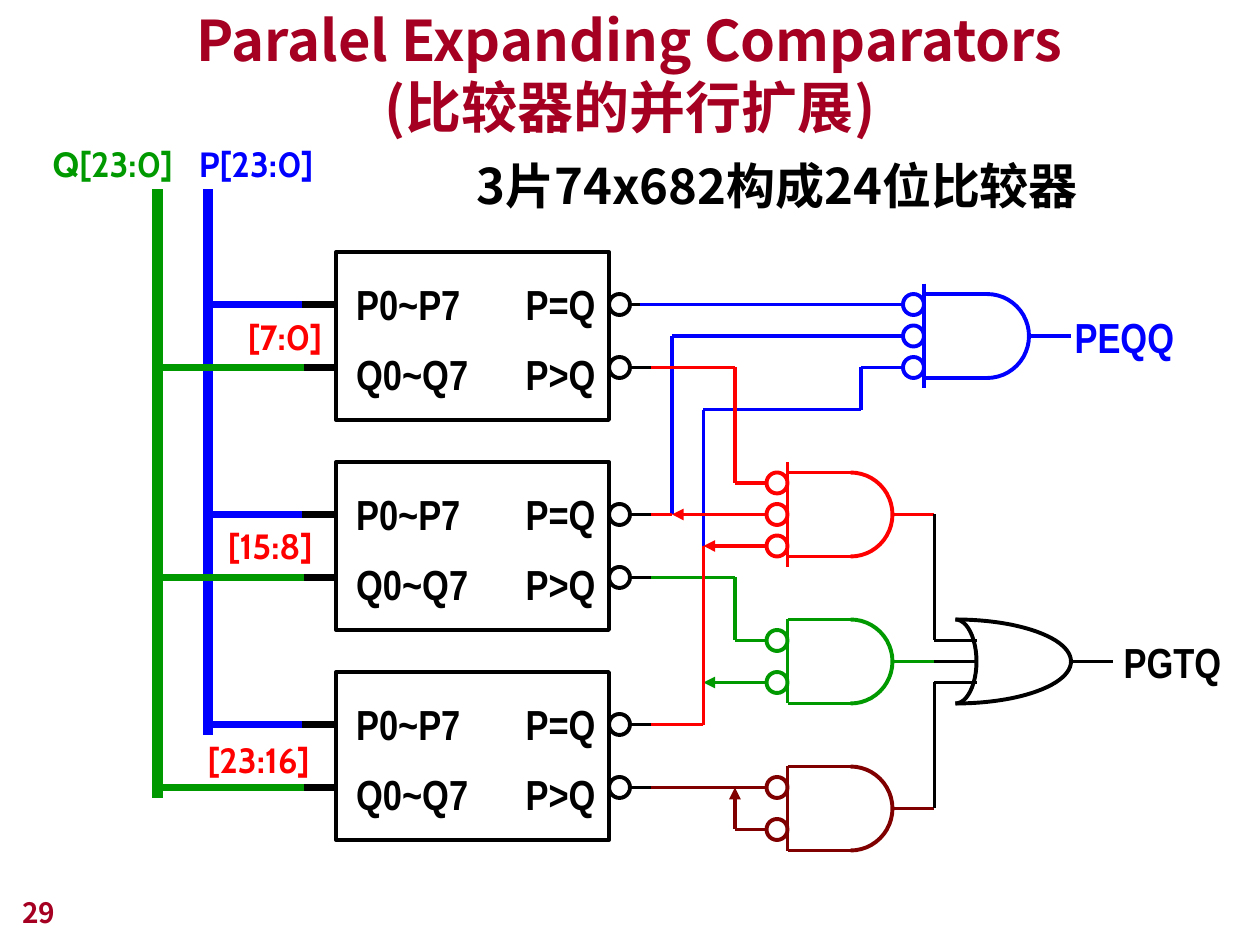
from itertools import pairwise
from lxml import etree
from pptx import Presentation
from pptx.dml.color import RGBColor
from pptx.enum.shapes import MSO_CONNECTOR, MSO_SHAPE
from pptx.enum.text import MSO_ANCHOR, MSO_AUTO_SIZE, PP_ALIGN
from pptx.oxml.ns import qn
from pptx.util import Inches, Pt

COLORS = {"black": "000000", "blue": "0000FF", "green": "009900",
          "red": "FF0000", "maroon": "800000", "title": "A50021"}
HEADING, NARROW, LABEL = "Noto Sans CJK JP", "Arial Narrow", "Cabin"

CHIP_LEFT, CHIP_WIDTH, CHIP_HEIGHT = 32, 26, 16
CHIP_TOPS = [24, 44, 64]
PIN_OFFSETS = [5, 11]
CHIP_ROWS = ["P0~P7\tP=Q", "Q0~Q7\tP>Q"]
BUSES = [("blue", 19.8, 70, 28.8, 5), ("green", 15, 76, 29, 11)]

GATES = [("blue", 88, 28, [1, 4, 7]), ("maroon", 75, 73, [2, 6]),
         ("green", 75, 59, [2, 6]), ("red", 75, 45, [1, 4, 7])]

WIRES = [
    ("blue", [(61, 29), (86, 29)], False),
    ("blue", [(62, 49), (64, 49), (64, 32), (86, 32)], False),
    ("blue", [(62, 69), (67, 69), (67, 39), (82, 39), (82, 35), (86, 35)], False),
    ("maroon", [(62, 75), (73, 75)], False),
    ("maroon", [(70, 75), (70, 79), (73, 79)], True),
    ("green", [(62, 55), (70, 55), (70, 61), (73, 61)], False),
    ("green", [(67, 65), (73, 65)], True),
    ("green", [(62, 69), (67, 69), (67, 65)], False),
    ("red", [(62, 35), (70, 35), (70, 46), (73, 46)], False),
    ("red", [(64, 49), (73, 49)], True),
    ("red", [(62, 49), (64, 49)], False),
    ("red", [(67, 52), (73, 52)], True),
    ("red", [(67, 52), (67, 69), (62, 69)], False),
    ("black", [(89, 49), (89, 61), (93, 61)], False),
    ("black", [(89, 63), (93, 63)], False),
    ("black", [(89, 77), (89, 65), (93, 65)], False),
    ("black", [(102, 63), (106, 63)], False),
]

LABELS = [
    ("[7:0]", 1.87, 2.42, 0.83, 0.47, 20, LABEL, "red", 1.1),
    ("[15:8]", 1.71, 4.08, 0.99, 0.47, 20, LABEL, "red", 1.1),
    ("[23:16]", 1.55, 5.78, 1.16, 0.47, 20, LABEL, "red", 1.1),
    ("P[23:0]", 1.48, 1.08, 1.11, 0.44, 20, LABEL, "blue", 1),
    ("Q[23:0]", 0.32, 1.08, 1.16, 0.44, 20, LABEL, "green", 1),
    ("PEQQ", 8.43, 2.42, 0.99, 0.5, 24, NARROW, "blue", 1),
    ("PGTQ", 8.82, 5, 0.99, 0.5, 24, NARROW, "black", 1),
]
HEADINGS = [
    ("3片74x682构成24位比较器", 2.92, 0.92, 6.5, 0.83, 28, "black", PP_ALIGN.CENTER),
    ("Paralel Expanding Comparators\v(比较器的并行扩展)",
     0.75, 0.33, 8.5, 0.83, 32, "title", PP_ALIGN.CENTER),
    ("29", 0.08, 6.92, 2.08, 0.5, 16, "title", PP_ALIGN.LEFT),
]

presentation = Presentation()
presentation.slide_width, presentation.slide_height = Inches(10), Inches(7.5)
slide = presentation.slides.add_slide(presentation.slide_layouts[6])
shapes = slide.shapes


def grid(value):
    return Inches(value / 12)


def color(name):
    return RGBColor.from_string(COLORS[name])


def style_line(shape, name, width=2.25):
    shape.line.color.rgb = color(name)
    shape.line.width = Pt(width)


def add_outline(kind, left, top, width, height, name):
    shape = shapes.add_shape(kind, *map(grid, (left, top, width, height)))
    style_line(shape, name)
    shape.fill.background()
    shape.shadow.inherit = False
    return shape


def style_text(text_frame, size, font_name, name):
    for paragraph in text_frame.paragraphs:
        for run in paragraph.runs:
            run.font.size, run.font.name, run.font.bold = Pt(size), font_name, True
            run.font.color.rgb = color(name)
            properties = run._r.get_or_add_rPr()
            etree.SubElement(properties, qn("a:ea"), typeface=font_name)


def add_wire(points, name, width=2.25, arrow=False):
    for index, (start, end) in enumerate(pairwise(points)):
        wire = shapes.add_connector(MSO_CONNECTOR.STRAIGHT, *map(grid, start + end))
        style_line(wire, name, width)
        if arrow and index == 0:
            etree.SubElement(wire.line._get_or_add_ln(), qn("a:headEnd"), type="triangle")
        etree.SubElement(wire._element.spPr, qn("a:effectLst"))


def add_bubble(left, middle, name):
    add_outline(MSO_SHAPE.OVAL, left, middle - 1, 2, 2, name)


def add_half_ellipse(center_x, center_y, radius_x, radius_y, name):
    arc = add_outline(MSO_SHAPE.ARC, center_x - radius_x, center_y - radius_y,
                      2 * radius_x, 2 * radius_y, name)
    arc.adjustments[0], arc.adjustments[1] = 162, 54


def add_chip(top):
    chip = add_outline(MSO_SHAPE.RECTANGLE, CHIP_LEFT, top, CHIP_WIDTH, CHIP_HEIGHT, "black")
    text_frame = chip.text_frame
    text_frame.word_wrap = True
    text_frame.vertical_anchor = MSO_ANCHOR.TOP
    text_frame.margin_left = Inches(0.16)
    text_frame.margin_right = Inches(0.08)
    text_frame.text = "\n".join(CHIP_ROWS)
    for paragraph in text_frame.paragraphs:
        paragraph.alignment, paragraph.line_spacing = PP_ALIGN.LEFT, 1.4
        tabs = etree.SubElement(paragraph._p.get_or_add_pPr(), qn("a:tabLst"))
        etree.SubElement(tabs, qn("a:tab"), pos=str(Inches(1.9)), algn="r")
    style_text(text_frame, 24, NARROW, "black")
    for offset in PIN_OFFSETS:
        pin = top + offset
        add_wire([(28, pin), (CHIP_LEFT, pin)], "black", 4.5)
        add_wire([(60, pin), (62, pin)], "black")
        add_bubble(CHIP_LEFT + CHIP_WIDTH, pin, "black")


def add_gate(name, left, top, inputs):
    overhang = 1 if len(inputs) == 3 else 0
    add_wire([(left, top - overhang), (left, top + 8 + overhang)], name)
    for edge in (top, top + 8):
        add_wire([(left, edge), (left + 6, edge)], name)
    add_half_ellipse(left + 6, top + 4, 4, 4, name)
    add_wire([(left + 10, top + 4), (left + 14, top + 4)], name)
    for offset in inputs:
        add_bubble(left - 2, top + offset, name)


def add_text(text, left, top, width, height):
    box = shapes.add_textbox(*map(Inches, (left, top, width, height)))
    box.text_frame.text = text
    return box.text_frame


for top in CHIP_TOPS:
    add_chip(top)
for name, x, bottom, branch_end, offset in BUSES:
    add_wire([(x, 18), (x, bottom)], name, 6)
    for top in CHIP_TOPS:
        add_wire([(branch_end, top + offset), (x, top + offset)], name, 4.5)
for gate in GATES:
    add_gate(*gate)
for name, points, arrow in WIRES:
    add_wire(points, name, arrow=arrow)
for radius in (2, 11):
    add_half_ellipse(91, 63, radius, 4, "black")

for text, left, top, width, height, size, font_name, name, spacing in LABELS:
    text_frame = add_text(text, left, top, width, height)
    text_frame.word_wrap = False
    text_frame.auto_size = MSO_AUTO_SIZE.SHAPE_TO_FIT_TEXT
    text_frame.paragraphs[0].line_spacing = spacing
    style_text(text_frame, size, font_name, name)
for text, left, top, width, height, size, name, alignment in HEADINGS:
    text_frame = add_text(text, left, top, width, height)
    text_frame.word_wrap = True
    text_frame.vertical_anchor = MSO_ANCHOR.BOTTOM
    text_frame.paragraphs[0].alignment = alignment
    style_text(text_frame, size, HEADING, name)

presentation.save("out.pptx")
